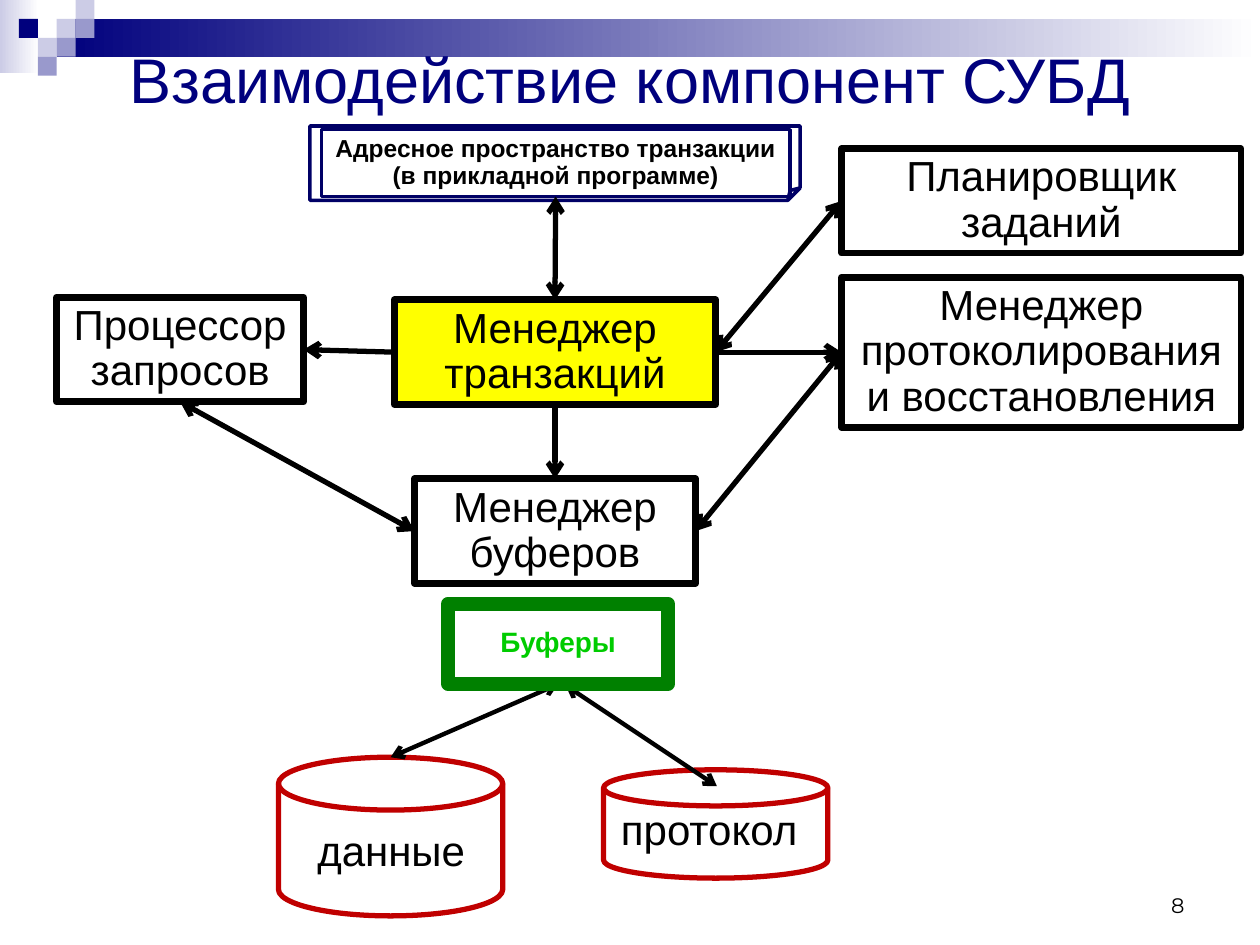
from lxml import etree
from pptx import Presentation
from pptx import util as u
from pptx.dml.color import RGBColor
from pptx.enum import shapes, text
from pptx.oxml.ns import qn

COLORS = {
    "navy": "00007D", "lavender": "CCCCE6", "violet": "9999CC", "white": "FFFFFF",
    "black": "000000", "yellow": "FFFF00", "red": "C00000", "frame": "000066",
    "green": "008000", "lime": "00CC00",
}
RGB = {name: RGBColor.from_string(value) for name, value in COLORS.items()}
RECT = shapes.MSO_SHAPE.RECTANGLE
DISK = shapes.MSO_SHAPE.FLOWCHART_MAGNETIC_DISK
TOP, LEFT, BOTTOM, RIGHT = range(4)

prs = Presentation()
prs.slide_width, prs.slide_height = u.Inches(10), u.Inches(7.5)
cell = prs.slide_width / 100  # the slide is a grid of 100 columns by 75 rows
slide = prs.slides.add_slide(prs.slide_layouts[5])


def draw(geometry, at, fill=None, line=None, weight=1):
    """Add a shape at (left, top, width, height) in grid cells."""
    shape = slide.shapes.add_shape(geometry, *(round(v * cell) for v in at))
    shape.shadow.inherit = False
    if fill:
        shape.fill.solid()
        shape.fill.fore_color.rgb = RGB[fill]
    else:
        shape.fill.background()
    if line:
        shape.line.color.rgb = RGB[line]
        shape.line.width = u.Pt(weight)
    else:
        shape.line.fill.background()
    return shape


def write(shape, words, size=24, color="black", bold=False, font="Arial",
          align=text.PP_ALIGN.CENTER, anchor=text.MSO_ANCHOR.MIDDLE, spacing=0.9):
    frame = shape.text_frame
    frame.text = words
    frame.word_wrap = True
    frame.auto_size = text.MSO_AUTO_SIZE.NONE
    frame.vertical_anchor = anchor
    paragraph = frame.paragraphs[0]
    paragraph.alignment = align
    paragraph.line_spacing = spacing
    for run in paragraph.runs:
        run.font.name, run.font.size, run.font.bold = font, u.Pt(size), bold
        run.font.color.rgb = RGB[color]


# Header: two fading bands and a mosaic of small squares
for at, start in (((0, 0, 3.1, 5.8), "lavender"), ((4.5, 1.5, 95.5, 3), "navy")):
    band = draw(RECT, at)
    band.fill.gradient()
    band.fill.gradient_angle = 0
    for stop, color, position in zip(band.fill.gradient_stops, (start, "white"), (0, 1)):
        stop.color.rgb = RGB[color]
        stop.position = position

mosaic = [
    (3, 1, "lavender"), (4, 0, "lavender"), (4, 1, "violet"), (2, 2, "lavender"),
    (1, 1, "navy"), (3, 2, "violet"), (2, 3, "violet"),
]
for column, row, color in mosaic:
    draw(RECT, (column * 1.5, row * 1.5, 1.5, 1.5), fill=color)

title = slide.shapes.title
title.left, title.top, title.width, title.height = (round(v * cell) for v in (5, 2.6, 90, 7.3))
write(title, "Взаимодействие компонент СУБД", size=36, color="navy", spacing=1)
slide.shapes._spTree.append(title._element)  # title lies over the header

# Components of the DBMS
draw(shapes.MSO_SHAPE.FOLDED_CORNER, (24.6, 10, 38.9, 5.9), line="frame", weight=2)
components = {
    "address space": ((25.5, 10.3, 37.2, 5.3), None, "frame", 2,
                      "Адресное пространство транзакции\v(в прикладной программе)",
                      {"size": 14, "bold": True}),
    "queries": ((4.5, 23.6, 19.6, 8.3), None, "black", 4, "Процессор запросов", {}),
    "transactions": ((31.3, 23.8, 25.5, 8.3), "yellow", "black", 4, "Менеджер транзакций", {}),
    "buffer manager": ((32.9, 38, 22.3, 8.3), None, "black", 4, "Менеджер буферов", {}),
    "scheduler": ((66.8, 11.8, 31.7, 8.3), None, "black", 3.75, "Планировщик заданий", {}),
    "recovery": ((66.8, 22, 31.7, 11.9), None, "black", 4,
                 "Менеджер протоколирования и восстановления", {}),
    "buffers": ((35.6, 47.9, 17.4, 6.4), None, "green", 8, "Буферы",
                {"size": 16, "bold": True, "color": "lime"}),
}
parts = {}
for name, (at, fill, line, weight, words, style) in components.items():
    parts[name] = draw(RECT, at, fill, line, weight)
    write(parts[name], words, **style)

# Storage disks with their labels, and the slide number
for at in ((22.1, 60.1, 17.8, 12.6), (47.9, 61.1, 17.8, 8.6)):
    draw(DISK, at, line="red", weight=3)

labels = [
    ("данные", (24.2, 65.4, 14.3, 4.6), {"align": text.PP_ALIGN.LEFT}),
    ("протокол", (48.3, 63.7, 16.8, 4.6), {"align": text.PP_ALIGN.LEFT}),
    ("8", (87.7, 68.3, 7.3, 5), {"align": text.PP_ALIGN.RIGHT, "size": 12, "spacing": 1,
                                 "font": "Montserrat", "anchor": text.MSO_ANCHOR.BOTTOM}),
]
for words, at, style in labels:
    write(slide.shapes.add_textbox(*(round(v * cell) for v in at)), words, **style)

# Arrows: an end is a component with its side, or a point of the grid
arrows = [
    (("queries", BOTTOM), ("buffer manager", LEFT), 3, True),
    (("transactions", BOTTOM), ("buffer manager", TOP), 3, False),
    (("transactions", LEFT), ("queries", RIGHT), 3, False),
    (("transactions", RIGHT), ("recovery", LEFT), 3, False),
    (("scheduler", LEFT), ("transactions", RIGHT), 3, True),
    (("recovery", LEFT), ("buffer manager", RIGHT), 3, True),
    (("transactions", TOP), ("address space", BOTTOM), 3, True),
    (("buffers", BOTTOM), (31, 60.1), 2.5, True),
    ((44.9, 54.4), (56.9, 62.4), 2.5, True),
]
for start, end, weight, two_way in arrows:
    arrow = slide.shapes.add_connector(shapes.MSO_CONNECTOR.STRAIGHT, 0, 0, 0, 0)
    if start[0] in parts:
        arrow.begin_connect(parts[start[0]], start[1])
    else:
        arrow.begin_x, arrow.begin_y = (round(v * cell) for v in start)
    if end[0] in parts:
        arrow.end_connect(parts[end[0]], end[1])
    else:
        arrow.end_x, arrow.end_y = (round(v * cell) for v in end)
    arrow.line.color.rgb = RGB["black"]
    arrow.line.width = u.Pt(weight)
    outline = arrow.line._get_or_add_ln()
    for tip in ("a:headEnd", "a:tailEnd") if two_way else ("a:tailEnd",):
        etree.SubElement(outline, qn(tip), type="arrow")
    etree.SubElement(arrow._element.spPr, qn("a:effectLst"))

slide.shapes._spTree.append(parts["buffers"]._element)  # frame covers the arrow tips

prs.save("out.pptx")
